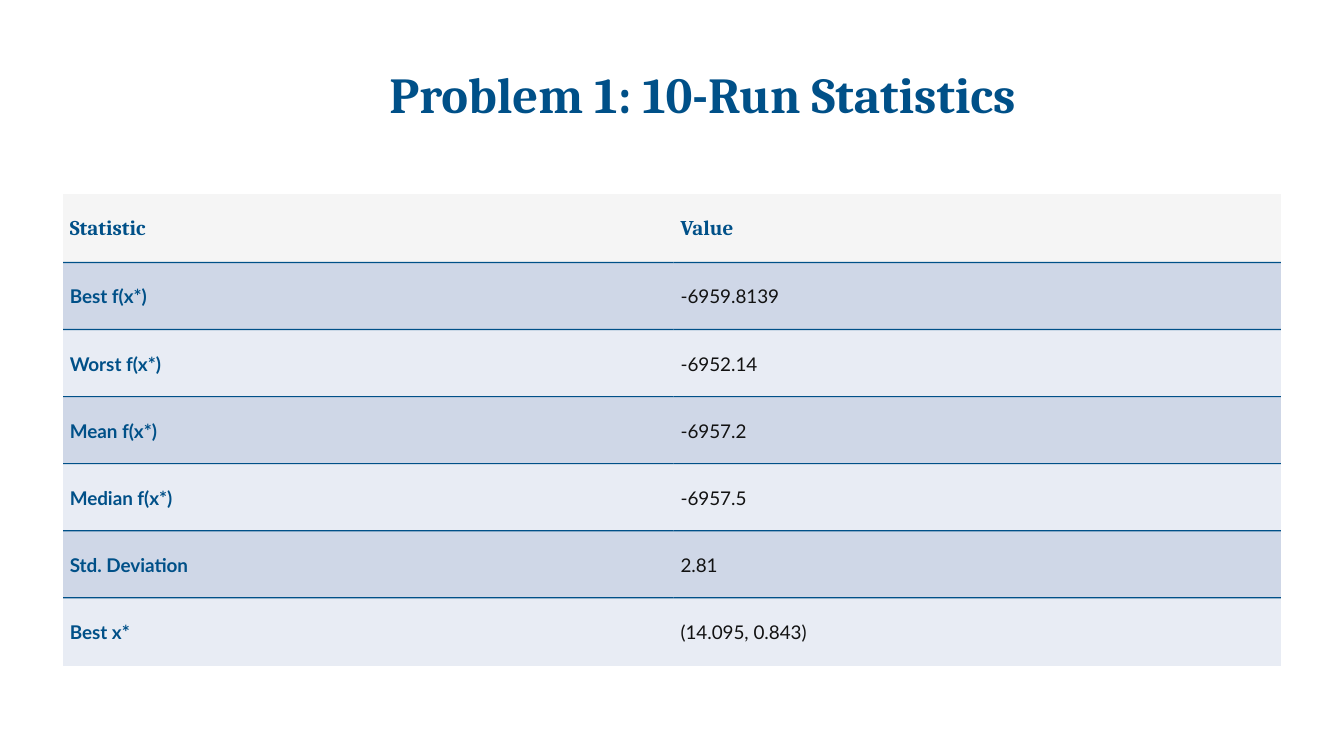
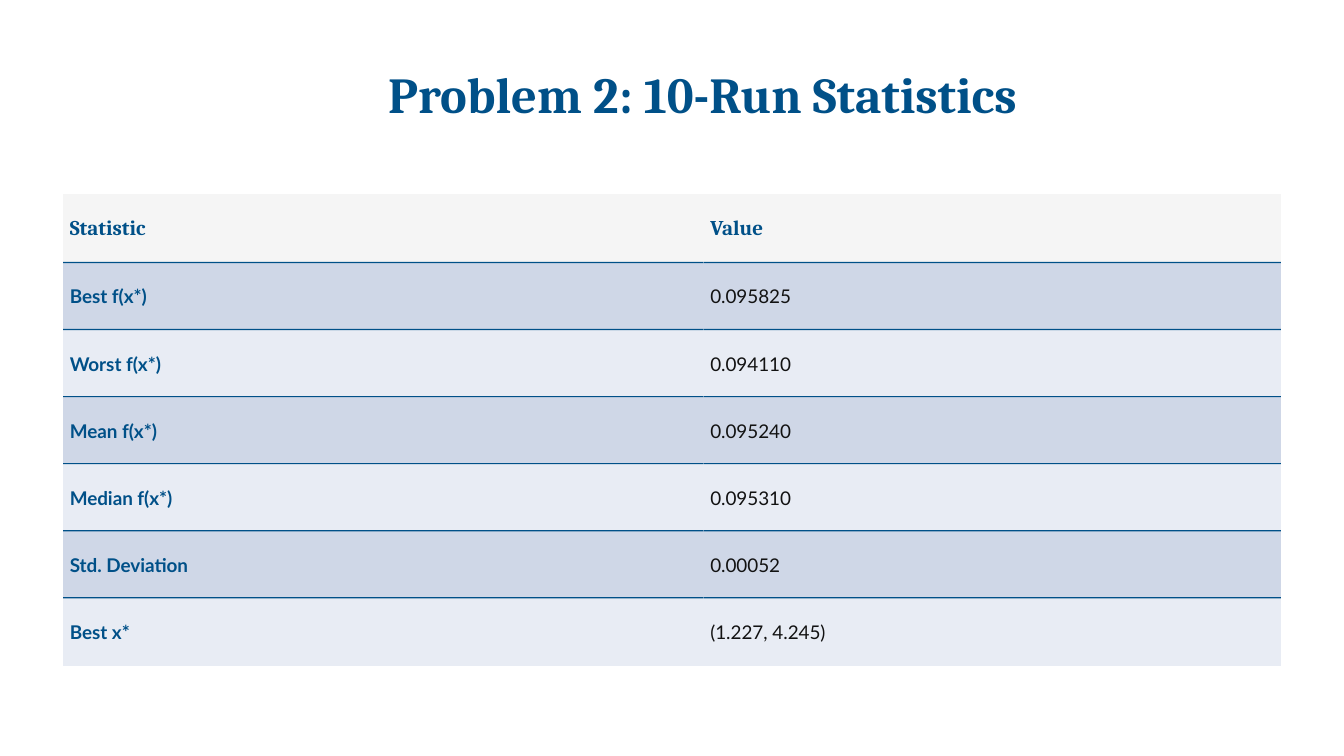
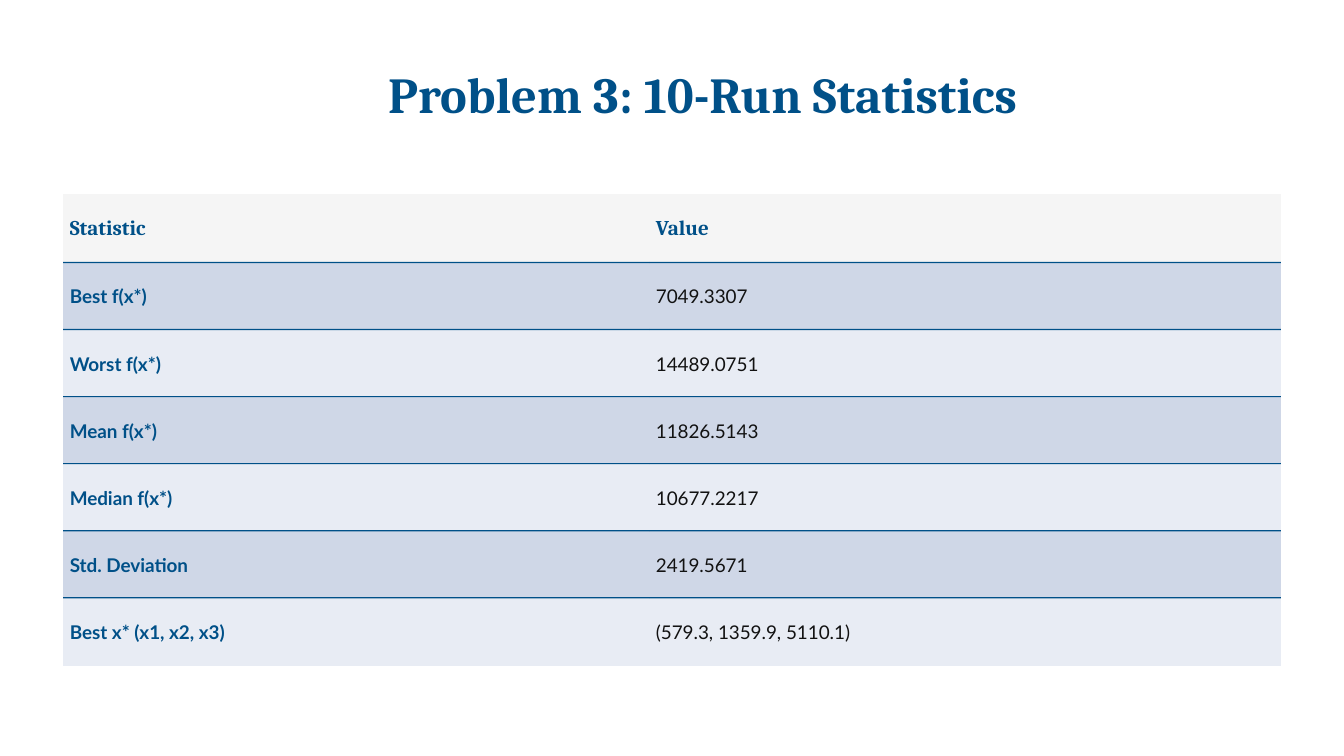
"""Build three slides of run statistics, one table per problem."""
from itertools import product

from pptx import Presentation
from pptx.dml.color import RGBColor
from pptx.enum.shapes import MSO_SHAPE
from pptx.enum.text import MSO_ANCHOR, MSO_AUTO_SIZE, PP_ALIGN
from pptx.oxml.ns import qn
from pptx.util import Cm, Pt
from lxml.etree import Element, SubElement

COLOURS = {
    "blue": "005088",
    "ink": "121212",
    "header": "F5F5F5",
    "band_dark": "CFD7E7",
    "band_light": "E8ECF4",
}
HEADING_FONT = "Cambria"
BODY_FONT = "Lato"

HEADER = ("Statistic", "Value")
STATISTICS = ("Best f(x*)", "Worst f(x*)", "Mean f(x*)", "Median f(x*)", "Std. Deviation")
PROBLEMS = [
    {
        "title": "Problem 1: 10-Run Statistics",
        "label_width": Cm(15.39),
        "values": ("-6959.8139", "-6952.14", "-6957.2", "-6957.5", "2.81"),
        "best_point": ("Best x*", "(14.095, 0.843)"),
    },
    {
        "title": "Problem 2: 10-Run Statistics",
        "label_width": Cm(16.14),
        "values": ("0.095825", "0.094110", "0.095240", "0.095310", "0.00052"),
        "best_point": ("Best x*", "(1.227, 4.245)"),
    },
    {
        "title": "Problem 3: 10-Run Statistics",
        "label_width": Cm(14.77),
        "values": ("7049.3307", "14489.0751", "11826.5143", "10677.2217", "2419.5671"),
        "best_point": ("Best x* (x1, x2, x3)", "(579.3, 1359.9, 5110.1)"),
    },
]

LEFT = Cm(1.59)
TITLE_TOP, TITLE_WIDTH, TITLE_HEIGHT = Cm(1.59), Cm(32.23), Cm(1.55)
TABLE_TOP, TABLE_WIDTH = Cm(4.89), Cm(30.69)
HEADER_HEIGHT, ROW_HEIGHT = Cm(1.74), Cm(1.69)
RULE_HEIGHT = Cm(0.03)


def colour(name):
    return RGBColor.from_string(COLOURS[name])


def add_run(paragraph, text, font, size, colour_name, bold):
    run = paragraph.add_run()
    run.text = text
    run.font.name = font
    run.font.size = Pt(size)
    run.font.bold = bold
    run.font.color.rgb = colour(colour_name)


def add_title(slide, text):
    shape = slide.shapes.add_textbox(LEFT, TITLE_TOP, TITLE_WIDTH, TITLE_HEIGHT)
    frame = shape.text_frame
    frame.word_wrap = True
    frame.auto_size = MSO_AUTO_SIZE.SHAPE_TO_FIT_TEXT
    frame.margin_left = frame.margin_right = frame.margin_top = frame.margin_bottom = 0
    paragraph = frame.paragraphs[0]
    paragraph.alignment = PP_ALIGN.CENTER
    add_run(paragraph, text, HEADING_FONT, 36, "blue", True)


def clear_borders(cell):
    properties = cell._tc.get_or_add_tcPr()
    for position, side in enumerate(("a:lnL", "a:lnR", "a:lnT", "a:lnB")):
        border = Element(qn(side), w="0")
        SubElement(border, qn("a:noFill"))
        properties.insert(position, border)


def fill_cell(cell, text, row, column):
    cell.margin_left = cell.margin_right = Cm(0.17)
    cell.margin_top = cell.margin_bottom = Cm(0.08)
    cell.vertical_anchor = MSO_ANCHOR.MIDDLE
    band = "header" if row == 0 else ("band_light", "band_dark")[row % 2]
    cell.fill.solid()
    cell.fill.fore_color.rgb = colour(band)
    clear_borders(cell)
    paragraph = cell.text_frame.paragraphs[0]
    if row == 0:
        add_run(paragraph, text, HEADING_FONT, 15, "blue", True)
    else:
        is_label = column == 0
        add_run(paragraph, text, BODY_FONT, 13.5, "blue" if is_label else "ink", is_label)


def add_statistics_table(slide, rows, widths):
    height = HEADER_HEIGHT + ROW_HEIGHT * (len(rows) - 1)
    table = slide.shapes.add_table(
        len(rows), len(widths), LEFT, TABLE_TOP, TABLE_WIDTH, height
    ).table
    for column, width in enumerate(widths):
        table.columns[column].width = width
    for row, texts in enumerate(rows):
        table.rows[row].height = ROW_HEIGHT if row else HEADER_HEIGHT
        for column, text in enumerate(texts):
            fill_cell(table.cell(row, column), text, row, column)


def add_rules(slide, rule_count, widths):
    for index, column in product(range(rule_count), range(len(widths))):
        left = LEFT + sum(widths[:column])
        top = TABLE_TOP + HEADER_HEIGHT + index * ROW_HEIGHT - RULE_HEIGHT
        rule = slide.shapes.add_shape(
            MSO_SHAPE.RECTANGLE, left, top, widths[column], RULE_HEIGHT
        )
        rule.shadow.inherit = False
        rule.fill.solid()
        rule.fill.fore_color.rgb = colour("blue")
        rule.line.fill.background()


def main():
    presentation = Presentation()
    presentation.slide_width = Cm(33.87)
    presentation.slide_height = Cm(19.05)
    for problem in PROBLEMS:
        slide = presentation.slides.add_slide(presentation.slide_layouts[6])
        rows = [HEADER, *zip(STATISTICS, problem["values"]), problem["best_point"]]
        widths = (problem["label_width"], TABLE_WIDTH - problem["label_width"])
        add_statistics_table(slide, rows, widths)
        add_rules(slide, len(rows) - 1, widths)
        add_title(slide, problem["title"])
    presentation.save("out.pptx")


if __name__ == "__main__":
    main()
